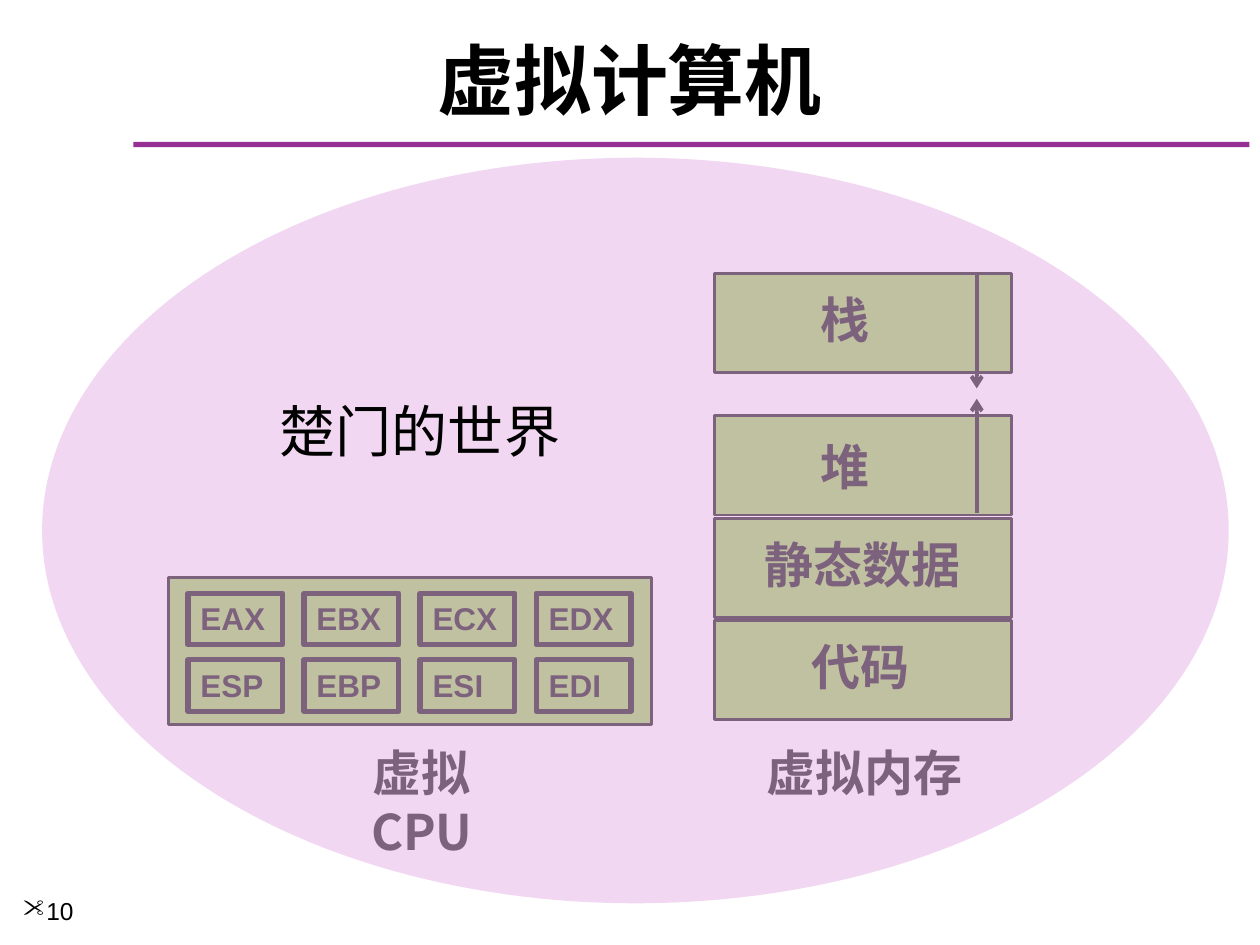
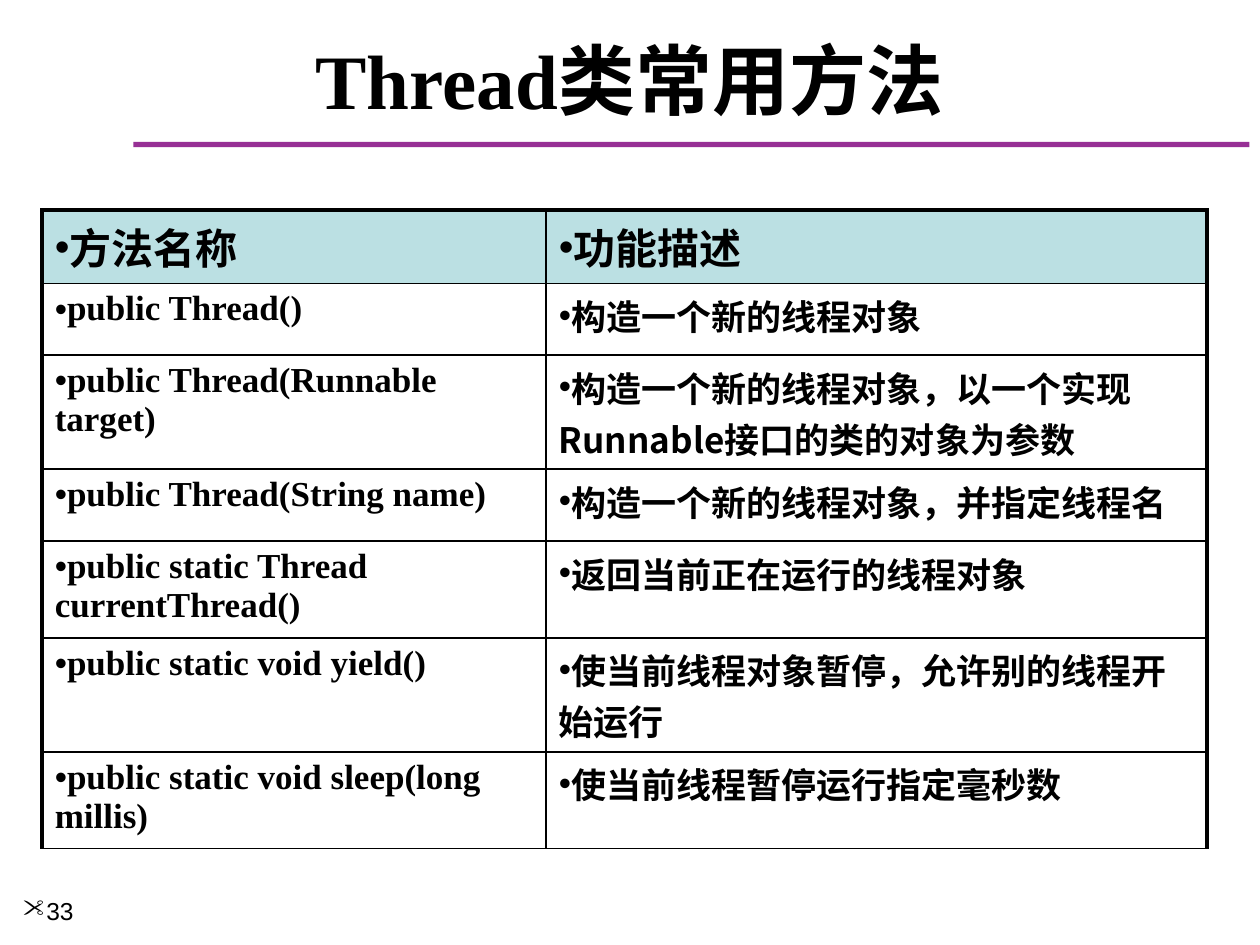
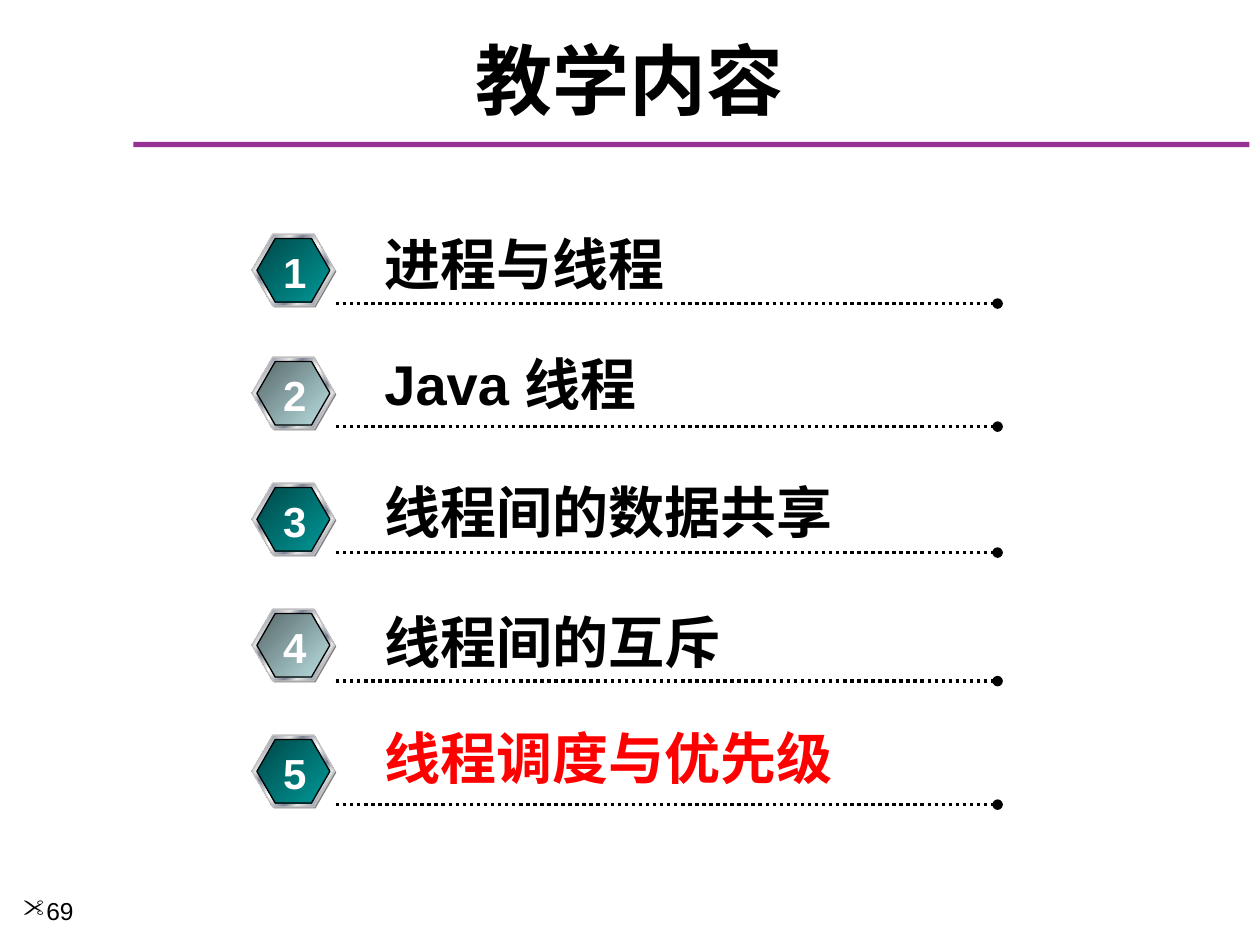
from typing import NamedTuple
from lxml.etree import SubElement
from pptx import Presentation
from pptx.dml.color import RGBColor
from pptx.enum.dml import MSO_LINE
from pptx.enum.shapes import MSO_CONNECTOR as Link, MSO_SHAPE as Preset
from pptx.enum.text import MSO_ANCHOR as Anchor, MSO_AUTO_SIZE as AutoSize, PP_ALIGN as Align
from pptx.oxml.ns import qn
from pptx.util import Cm, Pt

COLORS = {
    "ink": "000000", "paper": "FFFFFF", "rule": "973095", "memory": "92D050",
    "world": "E8B6E7", "header": "BBE0E3", "current": "FF0000",
    "shade": "808080", "rim": "C0C0C0", "silver": "E6E6E6", "steel": "7D8496",
    "teal_dark": "004747", "teal": "009999", "mist_dark": "576869", "mist": "BBE0E3",
}
SANS, SERIF, HAN = "Arial", "Times New Roman", "Noto Sans CJK SC"
METAL = [(0, "silver"), (8, "steel"), (26, "silver"), (34, "steel"), (46, "silver"),
         (50, "paper"), (54, "silver"), (66, "steel"), (74, "silver"), (92, "steel"),
         (100, "silver")]
TEAL = [(0, "teal_dark"), (100, "teal")]
MIST = [(0, "mist_dark"), (100, "mist")]

TITLE = {"size": Pt(44), "bold": True, "name": HAN}
NUMBER = {"size": Pt(14), "name": SANS}
LABEL = {"size": Pt(28), "bold": True, "name": HAN}
CAPTION = {"size": Pt(32), "name": HAN}
REGISTER = {"size": Pt(18), "bold": True, "name": SANS}
TOPIC = {"size": Pt(32), "bold": True, "name": SANS}
BADGE = {"size": Pt(24), "bold": True, "name": SANS}
HEAD_CELL = {"size": Pt(24), "bold": True, "name": HAN}
BODY_CELL = {"size": Pt(20), "bold": True, "name": HAN}
CODE_CELL = {"size": Pt(20), "bold": True, "name": SERIF}

METHODS = [
    (1.48, "方法名称", "功能描述"),
    (1.45, "public Thread()", "构造一个新的线程对象"),
    (2.3, "public Thread(Runnable target)", "构造一个新的线程对象，以一个实现Runnable接口的类的对象为参数"),
    (1.45, "public Thread(String name)", "构造一个新的线程对象，并指定线程名"),
    (1.82, "public static Thread currentThread()", "返回当前正在运行的线程对象"),
    (2.3, "public static void yield()", "使当前线程对象暂停，允许别的线程开始运行"),
    (1.82, "public static void sleep(long millis)", "使当前线程暂停运行指定毫秒数"),
]


class Box(NamedTuple):
    left: float
    top: float
    width: float
    height: float

    def inner(self, left, top, width, height):
        return Box(self.left + left, self.top + top, width, height)

    def lengths(self):
        return [Cm(value) for value in self]


def rgb(name):
    return RGBColor.from_string(COLORS[name])


def add_span(para, text, style, color="ink"):
    span = para.add_run()
    span.text = text
    for key, value in style.items():
        setattr(span.font, key, value)
    span.font.color.rgb = rgb(color)
    SubElement(span.font._element, qn("a:ea"), typeface=HAN)


def space_before(para):
    spacing = SubElement(para._p.get_or_add_pPr(), qn("a:spcBef"))
    SubElement(spacing, qn("a:spcPct"), val="20000")


def add_bullet(para, char, font, **options):
    props = para._p.get_or_add_pPr()
    props.set("marL", "0")
    props.set("indent", "0")
    SubElement(props, qn("a:buFont"), typeface=font, **options)
    SubElement(props, qn("a:buChar"), char=char)


def add_label(page, box, text, style, color="ink", align=Align.LEFT, wrap=False):
    frame = page.shapes.add_textbox(*box.lengths()).text_frame
    frame.word_wrap = wrap
    frame.auto_size = AutoSize.SHAPE_TO_FIT_TEXT
    para = frame.paragraphs[0]
    para.alignment = align
    space_before(para)
    add_span(para, text, style, color)


def paint(shape, fill):
    if fill is None:
        shape.fill.background()
    elif isinstance(fill, str):
        shape.fill.solid()
        shape.fill.fore_color.rgb = rgb(fill)
    else:
        shape.fill.gradient()
        shape.fill.gradient_angle = 315
        stops = shape._element.spPr.find(f".//{qn('a:gsLst')}")
        stops.clear()
        for percent, name in fill:
            stop = SubElement(stops, qn("a:gs"), pos=str(percent * 1000))
            SubElement(stop, qn("a:srgbClr"), val=COLORS[name])


def add_block(page, preset, box, fill, line=None, weight=1):
    shape = page.shapes.add_shape(preset, *box.lengths())
    shape.shadow.inherit = False
    paint(shape, fill)
    if line:
        shape.line.color.rgb = rgb(line)
        shape.line.width = Pt(weight)
    else:
        shape.line.fill.background()
    return shape


def add_line(page, start, end, weight, tip, dash=None):
    points = [Cm(value) for value in (*start, *end)]
    link = page.shapes.add_connector(Link.STRAIGHT, *points)
    link.line.color.rgb = rgb("ink")
    link.line.width = Pt(weight)
    if dash:
        link.line.dash_style = dash
    props = link._element.spPr
    SubElement(props.find(qn("a:ln")), qn("a:tailEnd"), type=tip)
    SubElement(props, qn("a:effectLst"))


def add_page(deck, title, number):
    page = deck.slides.add_slide(deck.slide_layouts[6])
    add_block(page, Preset.RECTANGLE, Box(2.69, 2.86, 22.5, 0.11), "rule")
    frame = page.shapes.add_textbox(*Box(0.42, 0.64, 24.55, 1.9).lengths()).text_frame
    frame.word_wrap = True
    frame.vertical_anchor = Anchor.MIDDLE
    para = frame.paragraphs[0]
    para.alignment = Align.CENTER
    for text, font in title:
        add_span(para, text, TITLE | {"name": font})
    frame = page.shapes.add_textbox(*Box(0.21, 17.93, 2.74, 1.12).lengths()).text_frame
    frame.word_wrap = True
    add_bullet(frame.paragraphs[0], '"', "Wingdings", charset="2")
    add_span(frame.paragraphs[0], number, NUMBER)
    return page


def draw_memory(page, box):
    segments = [("栈", 0, 1.9, 0.2, 1.52), ("堆", 2.87, 1.9, 0.3, 1.52),
                ("静态数据", 4.94, 0.76, 0.2, 4.52), ("代码", 7, 1.71, 0.2, 2.51)]
    for text, top, left, drop, width in segments:
        add_block(page, Preset.RECTANGLE, box.inner(0, top, box.width, 2), "memory", "ink", 1.5)
        add_label(page, box.inner(left, top + drop, width, 1.45), text, LABEL)
    x = box.left + 5.29
    for start, end in [(0.02, 2.32), (4.83, 2.53)]:
        add_line(page, (x, box.top + start), (x, box.top + end), 2.25, "arrow")
    add_label(page, box.inner(0.78, 9.33, 4.5, 1.45), "虚拟内存", LABEL, align=Align.CENTER)


def draw_processor(page, box):
    add_block(page, Preset.RECTANGLE, box, "memory", "ink", 1.75)
    names = ["EAX", "EBX", "ECX", "EDX", "ESP", "EBP", "ESI", "EDI"]
    for index, name in enumerate(names):
        row, column = divmod(index, 4)
        cell = box.inner(0.4 + column * 2.34, 0.32 + row * 1.34, 1.91, 1.04)
        register = add_block(page, Preset.RECTANGLE, cell, None, "ink", 3)
        register.text_frame.vertical_anchor = Anchor.TOP
        para = register.text_frame.paragraphs[0]
        para.alignment = Align.LEFT
        space_before(para)
        add_span(para, name, REGISTER)
    add_label(page, box.inner(3.11, 3.21, 4.01, 1.45), "虚拟CPU", LABEL,
              align=Align.CENTER, wrap=True)


def draw_world(page, box):
    oval = add_block(page, Preset.OVAL, box, "world")
    color = oval._element.spPr.find(f".//{qn('a:srgbClr')}")
    SubElement(color, qn("a:alpha"), val="54000")
    add_label(page, box.inner(4.51, 4.69, 6.22, 1.63), "楚门的世界", CAPTION, align=Align.CENTER)


def set_borders(cell, weights):
    props = cell._tc.get_or_add_tcPr()
    for index, (side, weight) in enumerate(weights.items()):
        border = props.makeelement(qn(f"a:{side}"), {"w": str(Pt(weight))})
        fill = SubElement(border, qn("a:solidFill"))
        SubElement(fill, qn("a:srgbClr"), val=COLORS["ink"])
        props.insert(index, border)


def draw_methods(page, box):
    table = page.shapes.add_table(len(METHODS), 2, *box.lengths()).table
    table.horz_banding = False
    for column, width in zip(table.columns, (10.16, box.width - 10.16)):
        column.width = Cm(width)
    for row, (height, *texts) in enumerate(METHODS):
        table.rows[row].height = Cm(height)
        for column, text in enumerate(texts):
            cell = table.cell(row, column)
            if row == 0:
                style = HEAD_CELL
                cell.fill.solid()
                cell.fill.fore_color.rgb = rgb("header")
            else:
                style = BODY_CELL if column else CODE_CELL
                cell.fill.background()
            set_borders(cell, {"lnL": 1 if column else 2.25, "lnR": 2.25 if column else 1,
                               "lnT": 1 if row else 2.25, "lnB": 1})
            para = cell.text_frame.paragraphs[0]
            space_before(para)
            add_bullet(para, "•", SANS)
            add_span(para, text, style)


def draw_badge(page, box, number):
    layers = [(box.inner(0.03, 0.03, 1.67, 1.45), "shade", None),
              (box.inner(0, 0, 1.67, 1.45), METAL, "rim"),
              (box.inner(0.1, 0.09, 1.47, 1.28), TEAL if number % 2 else MIST, "ink")]
    for place, fill, line in layers:
        hexagon = add_block(page, Preset.HEXAGON, place, fill, line, 0.75)
        hexagon.adjustments[0] = 0.289
    add_label(page, box.inner(0.37, 0.12, 0.99, 1.27), str(number), BADGE, "paper", Align.CENTER)


def draw_topic(page, box, number, text, width, lift, base, color):
    end = box.left + box.width
    add_line(page, (box.left + 1.69, box.top + base), (end, box.top + base),
             2, "oval", MSO_LINE.ROUND_DOT)
    add_label(page, box.inner(2.42, -lift, width, 1.63), text, TOPIC, color)
    draw_badge(page, box, number)


def draw_contents(page, box):
    topics = [("进程与线程", 6.22, 0.22, 1.4, "ink"), ("Java 线程", 5.97, 0.27, 1.4, "ink"),
              ("线程间的数据共享", 9.68, 0.24, 1.4, "ink"), ("线程间的互斥", 7.39, 0.15, 1.45, "ink"),
              ("线程调度与优先级", 9.68, 0.35, 1.4, "current")]
    for number, topic in enumerate(topics, 1):
        top = 2.48 + (number - 2) * 2.54 if number > 1 else 0
        draw_topic(page, box.inner(0, top, box.width, 1.5), number, *topic)


def main():
    deck = Presentation()
    deck.slide_width, deck.slide_height = Cm(25.4), Cm(19.05)

    page = add_page(deck, [("虚拟计算机", HAN)], "10")
    draw_processor(page, Box(3.39, 11.64, 9.74, 2.96))
    draw_memory(page, Box(14.4, 5.51, 5.99, 9))
    draw_world(page, Box(0.85, 3.18, 23.92, 15.03))

    page = add_page(deck, [("Thread", SERIF), ("类常用方法", HAN)], "33")
    draw_methods(page, Box(0.85, 4.23, 23.48, 12.62))

    page = add_page(deck, [("教学内容", HAN)], "69")
    draw_contents(page, Box(5.08, 4.72, 15.03, 11.6))

    deck.save("out.pptx")


if __name__ == "__main__":
    main()
